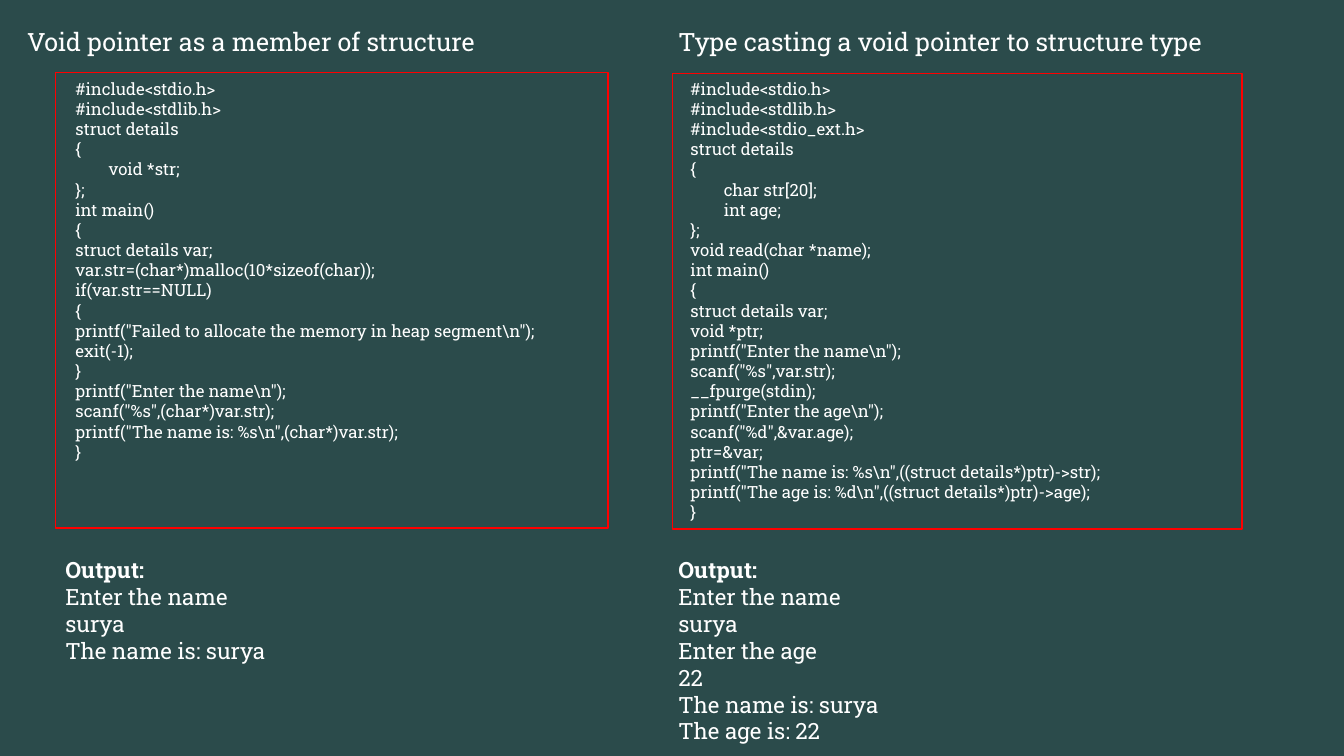
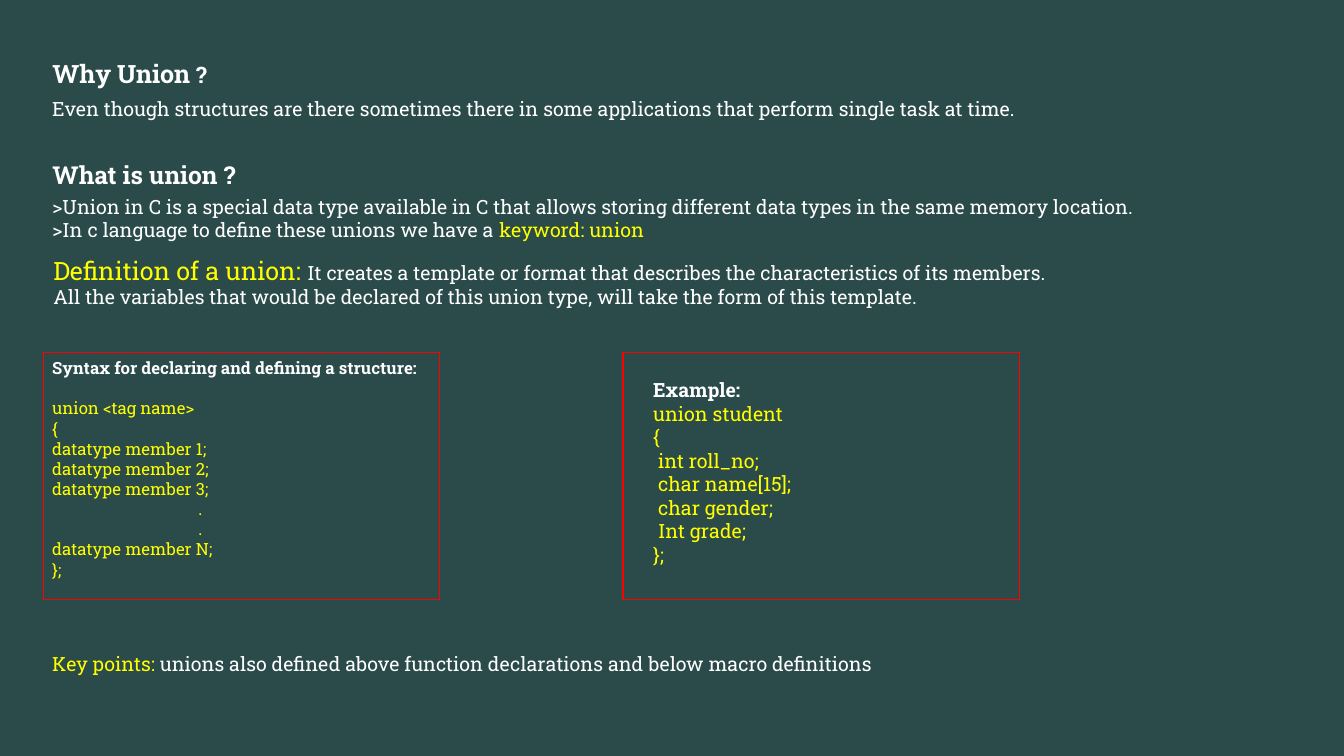
"""Two dark slides on void pointers in structures and on unions in C."""
from dataclasses import dataclass

from pptx import Presentation
from pptx.dml.color import RGBColor as RGB
from pptx.enum.shapes import MSO_SHAPE as SHAPE
from pptx.enum.text import MSO_ANCHOR as ANCHOR, MSO_AUTO_SIZE as AUTOSIZE, PP_ALIGN as ALIGN
from pptx.util import Inches, Pt


@dataclass(frozen=True)
class Theme:
    font = "Roboto Slab"
    back = RGB.from_string("2B4B4B")
    white = RGB.from_string("FFFFFF")
    yellow = RGB.from_string("FFFF00")
    red = RGB.from_string("FF0000")
    frame_width = Pt(1)
    pad = Inches(0.1)
    pad_v = Inches(0.05)
    code_indent = 0.33


T = Theme()
STYLES = {
    "heading": dict(size=Pt(18), bold=False, color=T.white),
    "title": dict(size=Pt(18), bold=True, color=T.white),
    "title_mark": dict(size=Pt(16.2), bold=True, color=T.white),
    "subtitle": dict(size=Pt(17.6), bold=True, color=T.white),
    "lead": dict(size=Pt(18), bold=False, color=T.yellow),
    "body": dict(size=Pt(14), bold=False, color=T.white),
    "body_bold": dict(size=Pt(14), bold=True, color=T.white),
    "key": dict(size=Pt(14), bold=False, color=T.yellow),
    "code": dict(size=Pt(12), bold=False, color=T.white),
    "label": dict(size=Pt(12), bold=True, color=T.white),
    "syntax": dict(size=Pt(12), bold=False, color=T.yellow),
    "output": dict(size=Pt(16), bold=False, color=T.white),
    "output_bold": dict(size=Pt(16), bold=True, color=T.white),
}


def para(*runs, indent=0, after=0):
    return dict(runs=runs, indent=indent, after=after)


def block(style, text, indent=T.code_indent):
    return [para((row.lstrip(), style), indent=indent if row.startswith(" ") else 0)
            for row in text.strip().splitlines()]


MEMBER_CODE = r'''
#include<stdio.h>
#include<stdlib.h>
struct details
{
    void *str;
};
int main()
{
struct details var;
var.str=(char*)malloc(10*sizeof(char));
if(var.str==NULL)
{
printf("Failed to allocate the memory in heap segment\n");
exit(-1);
}
printf("Enter the name\n");
scanf("%s",(char*)var.str);
printf("The name is: %s\n",(char*)var.str);
}
'''
CAST_CODE = r'''
#include<stdio.h>
#include<stdlib.h>
#include<stdio_ext.h>
struct details
{
    char str[20];
    int age;
};
void read(char *name);
int main()
{
struct details var;
void *ptr;
printf("Enter the name\n");
scanf("%s",var.str);
__fpurge(stdin);
printf("Enter the age\n");
scanf("%d",&var.age);
ptr=&var;
printf("The name is: %s\n",((struct details*)ptr)->str);
printf("The age is: %d\n",((struct details*)ptr)->age);
}
'''
UNION_SYNTAX = '''
union <tag name>
{
datatype member 1;
datatype member 2;
datatype member 3;
    .
    .
datatype member N;
};
'''
UNION_EXAMPLE = '''
union student
{
 int roll_no;
 char name[15];
 char gender;
 Int grade;
};
'''


def output(text):
    return [para(("Output:", "output_bold"))] + block("output", text)


POINTERS = dict(
    title=((0.17, 0.21, 6.22, 0.4), [para(("Void pointer as a member of structure", "heading"))], True),
    texts=[
        ((6.63, 0.21, 6.22, 0.4), [para(("Type casting a void pointer to structure type", "heading"))], True),
        ((0.65, 0.73, 5.84, 4.24), block("code", MEMBER_CODE), True),
        ((6.75, 0.73, 6.48, 4.75), block("code", CAST_CODE), True),
        ((0.55, 5.47, 3, 1.48), output("Enter the name\nsurya\nThe name is: surya"), True),
        ((6.63, 5.47, 3, 2), output(
            "Enter the name\nsurya\nEnter the age\n22\nThe name is: surya\nThe age is: 22"), True),
    ],
    frames=[(0.55, 0.72, 5.48, 4.52), (6.67, 0.73, 5.65, 4.52)],
)
UNIONS = dict(
    title=((0.52, 0.58, 12, 0.39),
           [para(("Why", "title"), (" ", "title_mark"), ("Union", "title"), (" ?", "title_mark"))], False),
    texts=[
        ((0.42, 0.91, 12.06, 0.34), [para((
            "Even though structures are there sometimes there in some applications "
            "that perform single task at time.", "body"))], True),
        ((0.52, 1.59, 12, 0.39), [para(("What is union ?", "subtitle"))], False),
        ((0.42, 1.88, 12.39, 0.57), [
            para((">Union in C is a special data type available in C that allows storing "
                  "different data types in the same memory location.", "body")),
            para((">In c language to define these unions we have a ", "body"), ("keyword: union", "key")),
        ], True),
        ((0.43, 2.48, 12.21, 0.64), [
            para(("Definition of a union: ", "lead"),
                 ("It creates a template or format that describes the characteristics "
                  "of its members.", "body")),
            para(("All the variables that would be declared of this union type, will take "
                  "the form of this template.", "body")),
        ], True),
        ((0.42, 3.5, 4.5, 2.32),
         [para(("Syntax for declaring and defining a structure:", "label"), after=14.4)]
         + block("syntax", UNION_SYNTAX, indent=1.45), True),
        ((6.38, 3.7, 3.06, 1.99),
         [para(("Example:", "body_bold"))] + block("key", UNION_EXAMPLE, indent=0.05), True),
        ((0.42, 6.42, 12.1, 0.34), [
            para(("Key points: ", "key"),
                 ("unions also defined above function declarations and below macro definitions", "body")),
        ], True),
    ],
    frames=[(left, 3.5, 3.93, 2.45) for left in (0.43, 6.18)],
)


def fill_text(sp, paras, padded):
    tf = sp.text_frame
    pad, pad_v = (T.pad, T.pad_v) if padded else (0, 0)
    layout = dict(word_wrap=True, auto_size=AUTOSIZE.NONE, vertical_anchor=ANCHOR.TOP,
                  margin_left=pad, margin_right=pad, margin_top=pad_v, margin_bottom=pad_v)
    for name, value in layout.items():
        setattr(tf, name, value)
    for i, item in enumerate(paras):
        p = tf.add_paragraph() if i else tf.paragraphs[0]
        p.alignment = ALIGN.LEFT
        p.space_after = Pt(item["after"])
        if item["indent"]:
            p._p.get_or_add_pPr().set("marL", str(Inches(item["indent"])))
        for text, style in item["runs"]:
            r = p.add_run()
            r.text = text
            fmt = STYLES[style]
            for name, value in dict(name=T.font, size=fmt["size"], bold=fmt["bold"]).items():
                setattr(r.font, name, value)
            r.font.color.rgb = fmt["color"]


def add_frame(s, box):
    sp = s.shapes.add_shape(SHAPE.RECTANGLE, *map(Inches, box))
    sp.shadow.inherit = False
    sp.fill.background()
    sp.line.color.rgb = T.red
    sp.line.width = T.frame_width


def add_slide(prs, content):
    s = prs.slides.add_slide(prs.slide_layouts.get_by_name("Title Only"))
    box, paras, padded = content["title"]
    title = s.shapes.title
    for name, value in zip(("left", "top", "width", "height"), box):
        setattr(title, name, Inches(value))
    fill_text(title, paras, padded)
    for box, paras, padded in content["texts"]:
        fill_text(s.shapes.add_textbox(*map(Inches, box)), paras, padded)
    for box in content["frames"]:
        add_frame(s, box)


def main():
    prs = Presentation()
    prs.slide_width, prs.slide_height = Inches(13.33), Inches(7.5)
    back = prs.slide_master.background.fill
    back.solid()
    back.fore_color.rgb = T.back
    for content in (POINTERS, UNIONS):
        add_slide(prs, content)
    prs.save("out.pptx")


if __name__ == "__main__":
    main()
